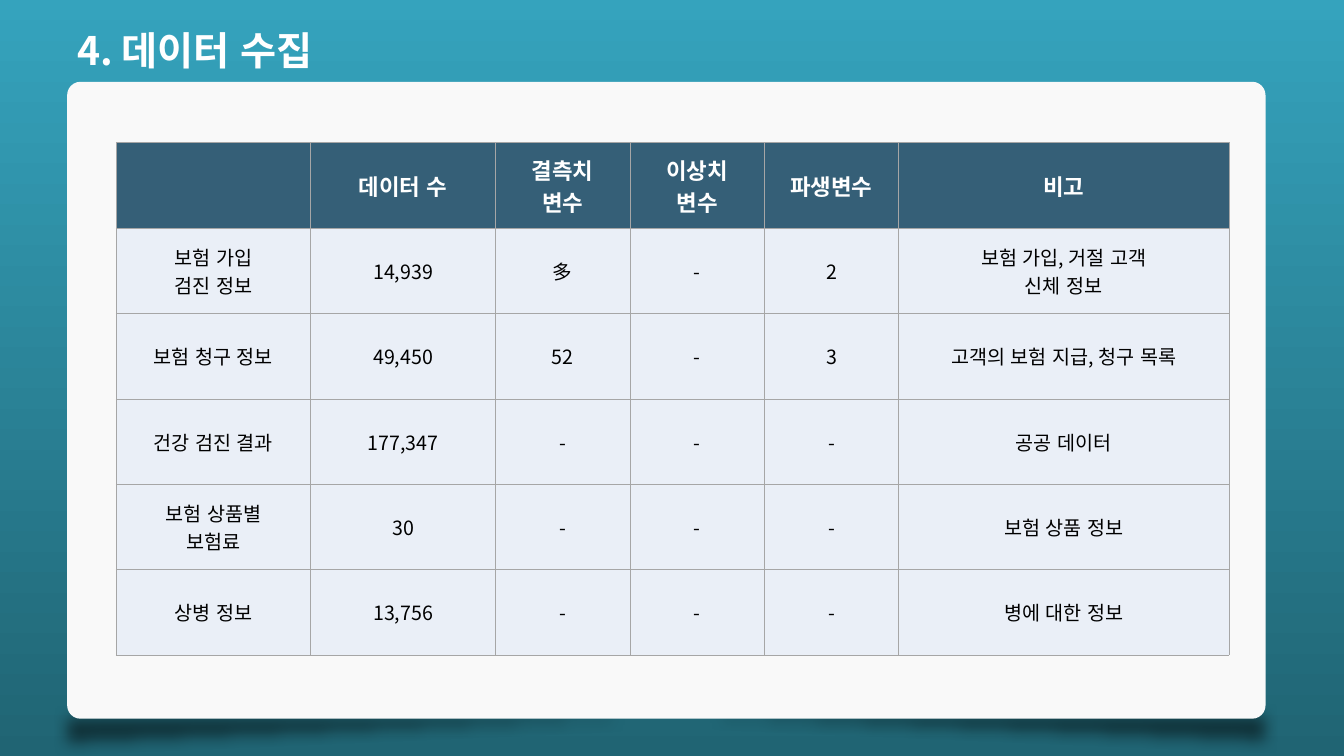
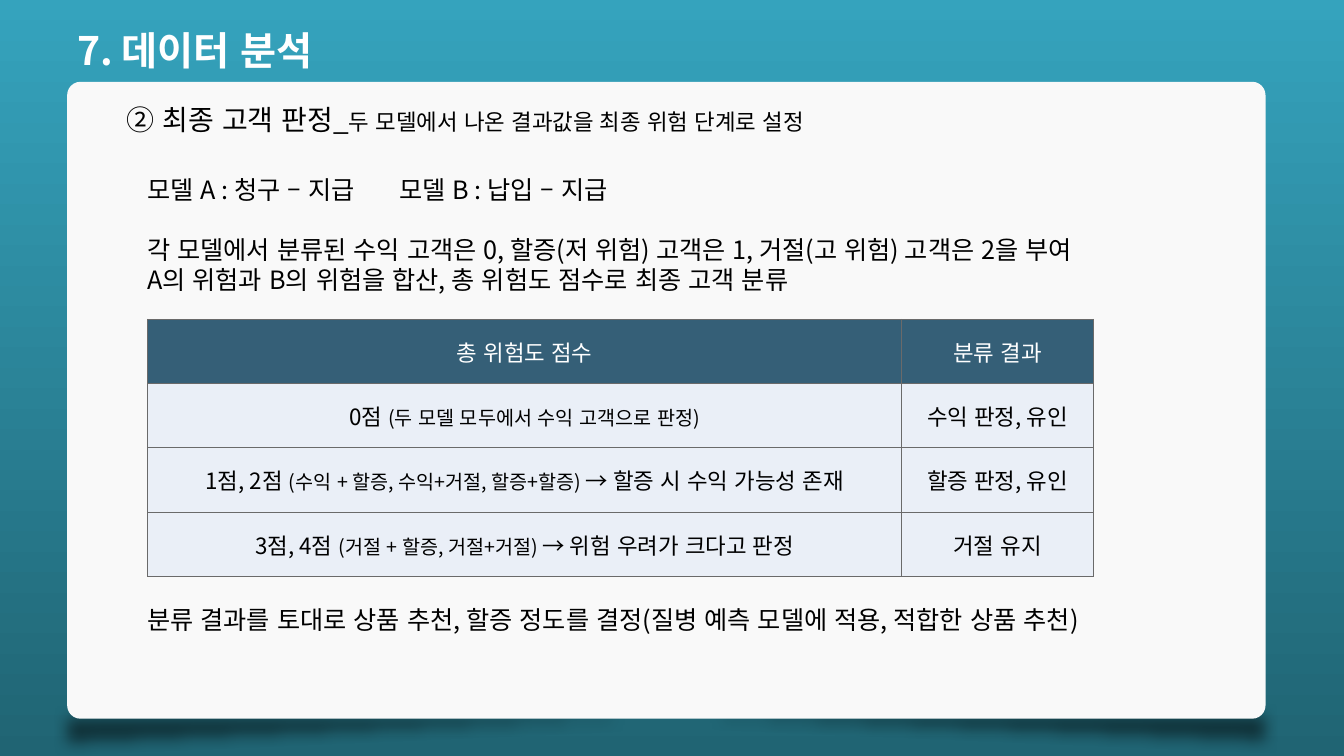
"""Build two data-mining slides: the collected data and the final customer rating."""
import dataclasses

import lxml.etree
import pptx
import pptx.dml.color
import pptx.enum.lang
import pptx.enum.shapes
import pptx.enum.text
import pptx.oxml.ns
import pptx.util

Pt = pptx.util.Pt
qn = pptx.oxml.ns.qn
ALIGN = pptx.enum.text.PP_ALIGN
ANCHOR = pptx.enum.text.MSO_ANCHOR
SHAPE = pptx.enum.shapes.MSO_SHAPE


@dataclasses.dataclass(frozen=True)
class Theme:
    font: str = "Noto Sans CJK KR"
    sky: str = "35A3BD"
    sea: str = "206473"
    card: str = "F9F9F9"
    header: str = "355F77"
    row: str = "EAEFF7"
    white: str = "FFFFFF"
    ink: str = "000000"
    light_rule: str = "A6A6A6"
    dark_rule: str = "6A6A6A"
    title: int = 28
    heading: int = 20
    body: int = 18
    label: int = 16
    note: int = 14


THEME = Theme()


def rgb(color):
    return pptx.dml.color.RGBColor.from_string(color)


def points(*lengths):
    return [Pt(length) for length in lengths]


def write(frame, text, *, size=THEME.body, color=THEME.ink, bold=False,
          align=ALIGN.LEFT, line_spacing=None, gaps=()):
    """Text is a string, one paragraph a line, or a list of (text, size) runs."""
    lines = [[(line, size)] for line in text.split("\n")] if isinstance(text, str) else [text]
    for index, pieces in enumerate(lines):
        paragraph = frame.add_paragraph() if index else frame.paragraphs[0]
        paragraph.alignment = align
        if line_spacing:
            paragraph.line_spacing = Pt(line_spacing)
        if index < len(gaps):
            paragraph.space_before = Pt(gaps[index])
        for piece, piece_size in pieces:
            if not piece:
                continue
            run = paragraph.add_run()
            run.text = piece
            run.font.size = Pt(piece_size)
            run.font.bold = bold
            run.font.color.rgb = rgb(color)
            run.font.name = THEME.font
            run.font.language_id = pptx.enum.lang.MSO_LANGUAGE_ID.KOREAN
            east_asian = lxml.etree.SubElement(run._r.get_or_add_rPr(), qn("a:ea"))
            east_asian.set("typeface", THEME.font)


def add_text(slide, box, text, anchor=ANCHOR.MIDDLE, **style):
    frame = slide.shapes.add_textbox(*points(*box)).text_frame
    frame.word_wrap = True
    frame.vertical_anchor = anchor
    write(frame, text, **style)


def add_plain_shape(slide, preset, box, color):
    shape = slide.shapes.add_shape(preset, *points(*box))
    shape.shadow.inherit = False
    shape.fill.solid()
    shape.fill.fore_color.rgb = rgb(color)
    shape.line.fill.background()
    return shape


def add_card_shadow(slide, box, flips):
    shadow = add_plain_shape(slide, SHAPE.RIGHT_TRIANGLE, box, THEME.ink)
    properties = shadow.element.spPr
    for flip in flips:
        properties.find(qn("a:xfrm")).set(flip, "1")
    color = properties.find(f"{qn('a:solidFill')}/{qn('a:srgbClr')}")
    lxml.etree.SubElement(color, qn("a:alpha")).set("val", "51000")
    effects = properties.find(qn("a:effectLst"))
    lxml.etree.SubElement(effects, qn("a:softEdge")).set("rad", str(Pt(10)))
    return shadow


def dress_layout(layout, slide):
    """Give the layout its background, card and title place, drawn by way of a slide."""
    fill = layout.background.fill
    fill.gradient()
    fill.gradient_angle = 270
    for stop, color in zip(fill.gradient_stops, (THEME.sky, THEME.sea)):
        stop.color.rgb = rgb(color)
    card = add_plain_shape(slide, SHAPE.ROUNDED_RECTANGLE, (48, 58.4, 856, 455), THEME.card)
    card.adjustments[0] = 0.021
    backdrop = [
        add_card_shadow(slide, (47, 502.5, 865.5, 36), ("flipH", "flipV")),
        add_card_shadow(slide, (39, 504, 865.5, 36), ("flipV",)),
        card,
    ]
    for position, shape in enumerate(backdrop, start=2):
        layout.shapes.element.insert(position, shape.element)
    title = layout.placeholders[0]
    title.left, title.top, title.width, title.height = points(48, 15, 541.5, 41)


def set_title(slide, text):
    frame = slide.shapes.title.text_frame
    frame.auto_size = pptx.enum.text.MSO_AUTO_SIZE.NONE
    frame.vertical_anchor = ANCHOR.MIDDLE
    write(frame, text, size=THEME.title, color=THEME.white, bold=True)


def set_borders(cell, color, width):
    properties = cell._tc.get_or_add_tcPr()
    for side in ("a:lnL", "a:lnR", "a:lnT", "a:lnB"):
        line = lxml.etree.SubElement(properties, qn(side), w=str(Pt(width)))
        solid = lxml.etree.SubElement(line, qn("a:solidFill"))
        lxml.etree.SubElement(solid, qn("a:srgbClr")).set("val", color)


def add_grid(slide, corner, widths, row_height, rows, *, rule, rule_width,
             size, bold_header=False, margin=3.6):
    box = (*corner, sum(widths), row_height * len(rows))
    table = slide.shapes.add_table(len(rows), len(widths), *points(*box)).table
    table.horz_banding = False
    for column, width in zip(table.columns, widths):
        column.width = Pt(width)
    for index, row in enumerate(rows):
        header = index == 0
        table.rows[index].height = Pt(row_height)
        for column, text in enumerate(row):
            cell = table.cell(index, column)
            set_borders(cell, rule, rule_width)
            cell.fill.solid()
            cell.fill.fore_color.rgb = rgb(THEME.header if header else THEME.row)
            cell.vertical_anchor = ANCHOR.MIDDLE
            cell.margin_top = cell.margin_bottom = Pt(margin)
            write(cell.text_frame, text, size=THEME.label if header else size,
                  color=THEME.white if header else THEME.ink,
                  bold=header and bold_header, align=ALIGN.CENTER)


def score(total, mix, verdict=""):
    return [(total, THEME.label), (mix, THEME.note), (verdict, THEME.label)]


def fill_collection(slide):
    set_title(slide, "4. 데이터 수집")
    datasets = [
        ("", "데이터 수", "결측치\n변수", "이상치\n변수", "파생변수", "비고"),
        ("보험 가입\n검진 정보", "14,939", "多", "-", "2", "보험 가입, 거절 고객\n신체 정보"),
        ("보험 청구 정보", "49,450", "52", "-", "3", "고객의 보험 지급, 청구 목록"),
        ("건강 검진 결과", "177,347", "-", "-", "-", "공공 데이터"),
        ("보험 상품별\n보험료", "30", "-", "-", "-", "보험 상품 정보"),
        ("상병 정보", "13,756", "-", "-", "-", "병에 대한 정보"),
    ]
    add_grid(slide, (83, 102), (139, 132, 96, 96, 96, 236), 61, datasets,
             rule=THEME.light_rule, rule_width=0.5, size=THEME.note, bold_header=True)


def fill_analysis(slide):
    set_title(slide, "7. 데이터 분석")
    add_text(slide, (83.5, 69, 644, 32), [
        ("② 최종 고객 판정_", THEME.heading),
        ("두 모델에서 나온 결과값을 최종 위험 단계로 설정", THEME.label),
    ])
    add_text(slide, (98, 121, 750, 94),
             "모델 A : 청구 – 지급\t모델 B : 납입 – 지급\n"
             "각 모델에서 분류된 수익 고객은 0, 할증(저 위험) 고객은 1, 거절(고 위험) 고객은 2을 부여\n"
             "A의 위험과 B의 위험을 합산, 총 위험도 점수로 최종 고객 분류",
             anchor=ANCHOR.TOP, line_spacing=21.4, gaps=(0, 21.4))
    ratings = [
        ("총 위험도 점수", "분류 결과"),
        (score("0점 ", "(두 모델 모두에서 수익 고객으로 판정)"), "수익 판정, 유인"),
        (score("1점, 2점 ", "(수익 + 할증, 수익+거절, 할증+할증) ",
               "→ 할증 시 수익 가능성 존재"), "할증 판정, 유인"),
        (score("3점, 4점 ", "(거절 + 할증, 거절+거절) ",
               "→ 위험 우려가 크다고 판정"), "거절 유지"),
    ]
    add_grid(slide, (105.5, 228), (538.5, 137), 46, ratings,
             rule=THEME.dark_rule, rule_width=0.75, size=THEME.label, margin=0)
    add_text(slide, (98, 428, 722, 29),
             "분류 결과를 토대로 상품 추천, 할증 정도를 결정(질병 예측 모델에 적용, 적합한 상품 추천)")


def main():
    deck = pptx.Presentation()
    deck.slide_width, deck.slide_height = points(960, 540)
    layout = deck.slide_layouts.get_by_name("Title Only")
    collection, analysis = (deck.slides.add_slide(layout) for _ in range(2))
    dress_layout(layout, collection)
    fill_collection(collection)
    fill_analysis(analysis)
    deck.save("out.pptx")


if __name__ == "__main__":
    main()
